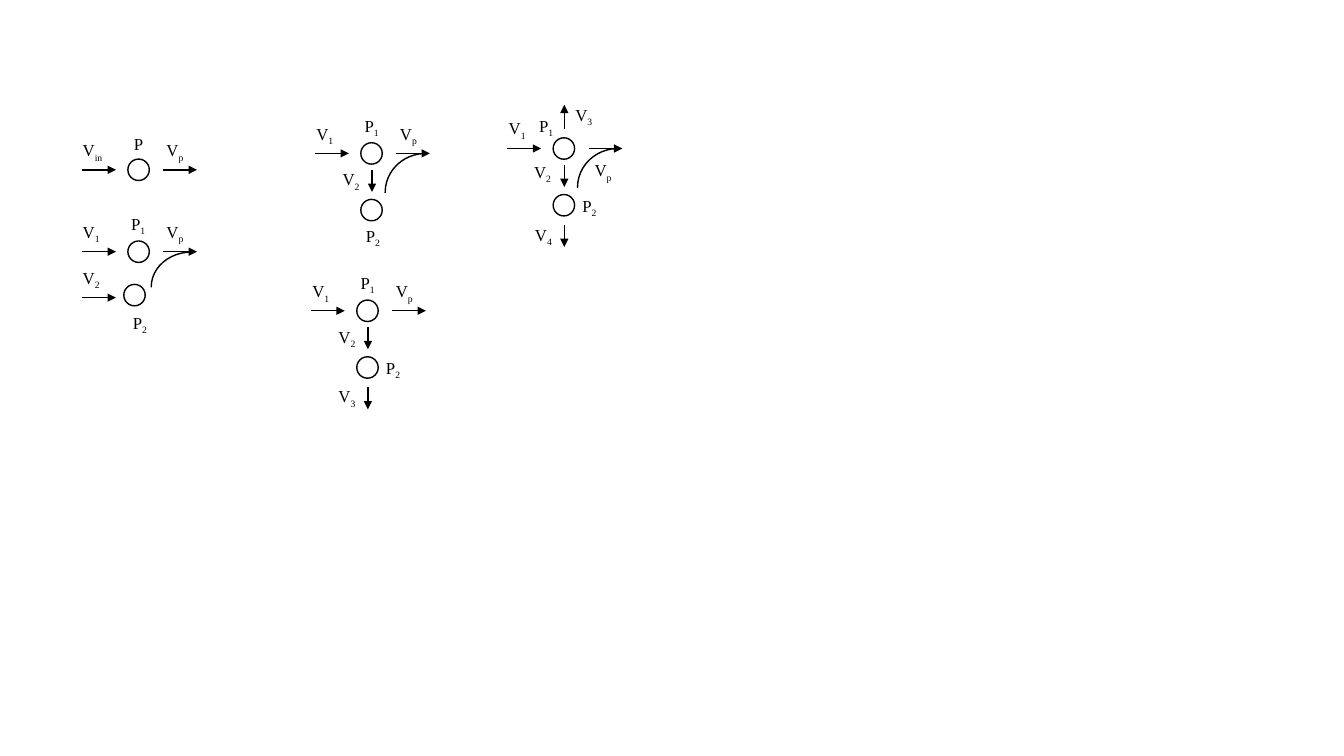
from lxml import etree
from pptx import Presentation
from pptx.dml.color import RGBColor
from pptx.enum.shapes import MSO_CONNECTOR, MSO_SHAPE
from pptx.enum.text import MSO_AUTO_SIZE
from pptx.oxml.ns import qn
from pptx.util import Pt

STRAIGHT = MSO_CONNECTOR.STRAIGHT
CIRCLE, ARC = MSO_SHAPE.OVAL, MSO_SHAPE.ARC
FIT_TEXT = MSO_AUTO_SIZE.SHAPE_TO_FIT_TEXT

INK = "000000"
FONT = "Times New Roman"
DIAMETER = 15.3
LABEL_WIDTH = {"P": 28.8, "V": 40.3}
LABEL_HEIGHT = 21.6
ARC_WIDTH = 57.6

# Offsets from the centre of the first pool, in points
INFLOW = (-40.4, 0, -16.2, 0)
OUTFLOW = (17.6, 0, 41.7, 0)
TRANSFER = (0.3, 11.7, 0.3, 27.5)
DRAIN = (0.3, 54.6, 0.3, 70.4)
ESCAPE = (0.3, -14, 0.3, -31.3)
SIDE_INFLOW = (-40.4, 32.8, -16.2, 32.8)
FIRST_POOL = (0, 0)
LOWER_POOL = (0, 40.5)

# Labels are (letter, subscript, left, top); arcs are (left, top, height)
PATHWAYS = [
    {"center": (99, 121.3),
     "pools": [FIRST_POOL],
     "arrows": [INFLOW, OUTFLOW],
     "arcs": [],
     "labels": [("P", "", -10.4, -29.2), ("V", "in", -47, -24.8),
                ("V", "p", 12.8, -24.8)]},
    {"center": (99, 179.8),
     "pools": [FIRST_POOL, (-2.9, 31)],
     "arrows": [INFLOW, OUTFLOW, SIDE_INFLOW],
     "arcs": [(9, 0.2, 49.7)],
     "labels": [("P", "1", -12.4, -30.6), ("V", "1", -47, -24.8),
                ("V", "p", 12.8, -24.8), ("V", "2", -47, 7.6),
                ("P", "2", -11.2, 40)]},
    {"center": (265.4, 109.6),
     "pools": [FIRST_POOL, LOWER_POOL],
     "arrows": [INFLOW, OUTFLOW, TRANSFER],
     "arcs": [(9.7, 0, 55.4)],
     "labels": [("P", "1", -12, -30.6), ("V", "1", -46.5, -24.8),
                ("V", "p", 13.2, -24.8), ("V", "2", -27.8, 7.6),
                ("P", "2", -11.2, 47.9)]},
    {"center": (262.5, 222),
     "pools": [FIRST_POOL, LOWER_POOL],
     "arrows": [INFLOW, OUTFLOW, TRANSFER, DRAIN],
     "arcs": [],
     "labels": [("P", "1", -12, -30.6), ("V", "1", -46.5, -24.8),
                ("V", "p", 13.2, -24.8), ("V", "2", -27.8, 7.6),
                ("P", "2", 6.1, 29.9), ("V", "3", -27.8, 50.2)]},
    {"center": (402.8, 106.1),
     "pools": [FIRST_POOL, LOWER_POOL],
     "arrows": [INFLOW, OUTFLOW, TRANSFER, DRAIN, ESCAPE],
     "arcs": [(9.7, 0, 55.4)],
     "labels": [("P", "1", -24.8, -27), ("V", "1", -46.5, -25.3),
                ("V", "p", 14.8, 4.7), ("V", "2", -28.4, 6.1),
                ("P", "2", 6.1, 29.9), ("V", "3", 1.1, -34.9),
                ("V", "4", -27.8, 50.8)]},
]


def color(value):
    return RGBColor.from_string(value)


def add_outline(page, kind, left, top, width, height):
    shape = page.shapes.add_shape(kind, Pt(left), Pt(top), Pt(width), Pt(height))
    shape.shadow.inherit = False
    shape.fill.background()
    shape.line.color.rgb = color(INK)
    shape.line.width = Pt(1)
    return shape


def add_arrow(page, x1, y1, x2, y2):
    arrow = page.shapes.add_connector(STRAIGHT, Pt(x1), Pt(y1), Pt(x2), Pt(y2))
    arrow.line.color.rgb = color(INK)
    arrow.line.width = Pt(1)
    etree.SubElement(arrow.line._get_or_add_ln(), qn("a:tailEnd"), type="triangle")
    etree.SubElement(arrow._element.spPr, qn("a:effectLst"))


def add_label(page, text, left, top, width, subscript="", size=12):
    box = page.shapes.add_textbox(Pt(left), Pt(top), Pt(width), Pt(LABEL_HEIGHT))
    box.text_frame.word_wrap = True
    box.text_frame.auto_size = FIT_TEXT
    para = box.text_frame.paragraphs[0]
    for part in filter(None, (text, subscript)):
        span = para.add_run()
        span.text = part
        span.font.name = FONT
        span.font.size = Pt(size)
        span.font.color.rgb = color(INK)
    if subscript:
        span.font._element.set("baseline", "-25000")


def draw_pathway(page, center, pools, arrows, arcs, labels):
    x, y = center
    for across, down in pools:
        add_outline(page, CIRCLE, x + across - DIAMETER / 2,
                    y + down - DIAMETER / 2, DIAMETER, DIAMETER)
    for x1, y1, x2, y2 in arrows:
        add_arrow(page, x + x1, y + y1, x + x2, y + y2)
    for left, top, height in arcs:
        arc = add_outline(page, ARC, x + left, y + top, ARC_WIDTH, height)
        arc.rotation = 180
        arc.adjustments[0] = 215.507
        arc.adjustments[1] = 52.405
    for letter, subscript, left, top in labels:
        add_label(page, letter, x + left, y + top, LABEL_WIDTH[letter],
                  subscript=subscript)


def main():
    deck = Presentation()
    deck.slide_width, deck.slide_height = Pt(960), Pt(540)
    page = deck.slides.add_slide(deck.slide_layouts[6])
    for pathway in PATHWAYS:
        draw_pathway(page, **pathway)
    deck.save("out.pptx")


if __name__ == "__main__":
    main()
